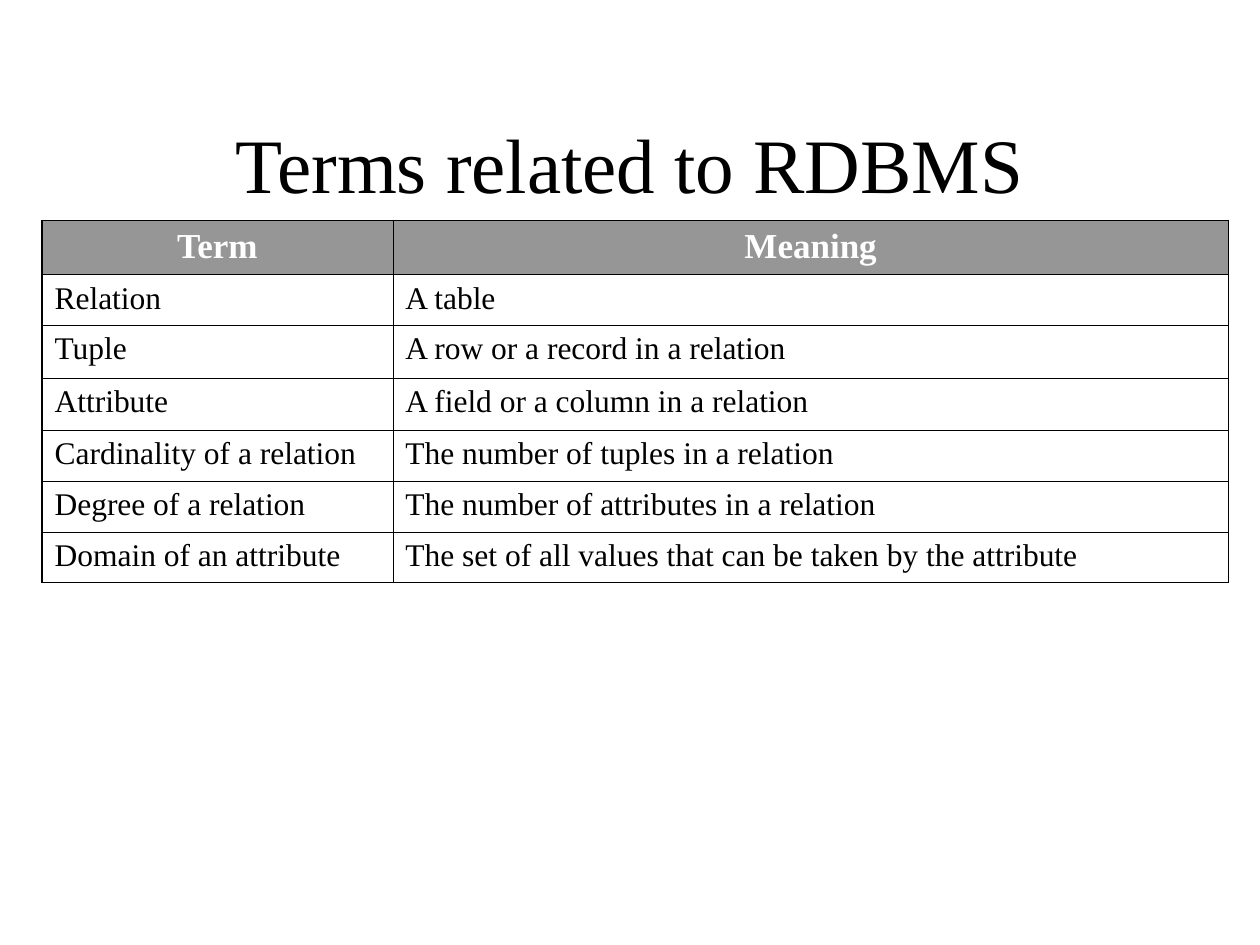
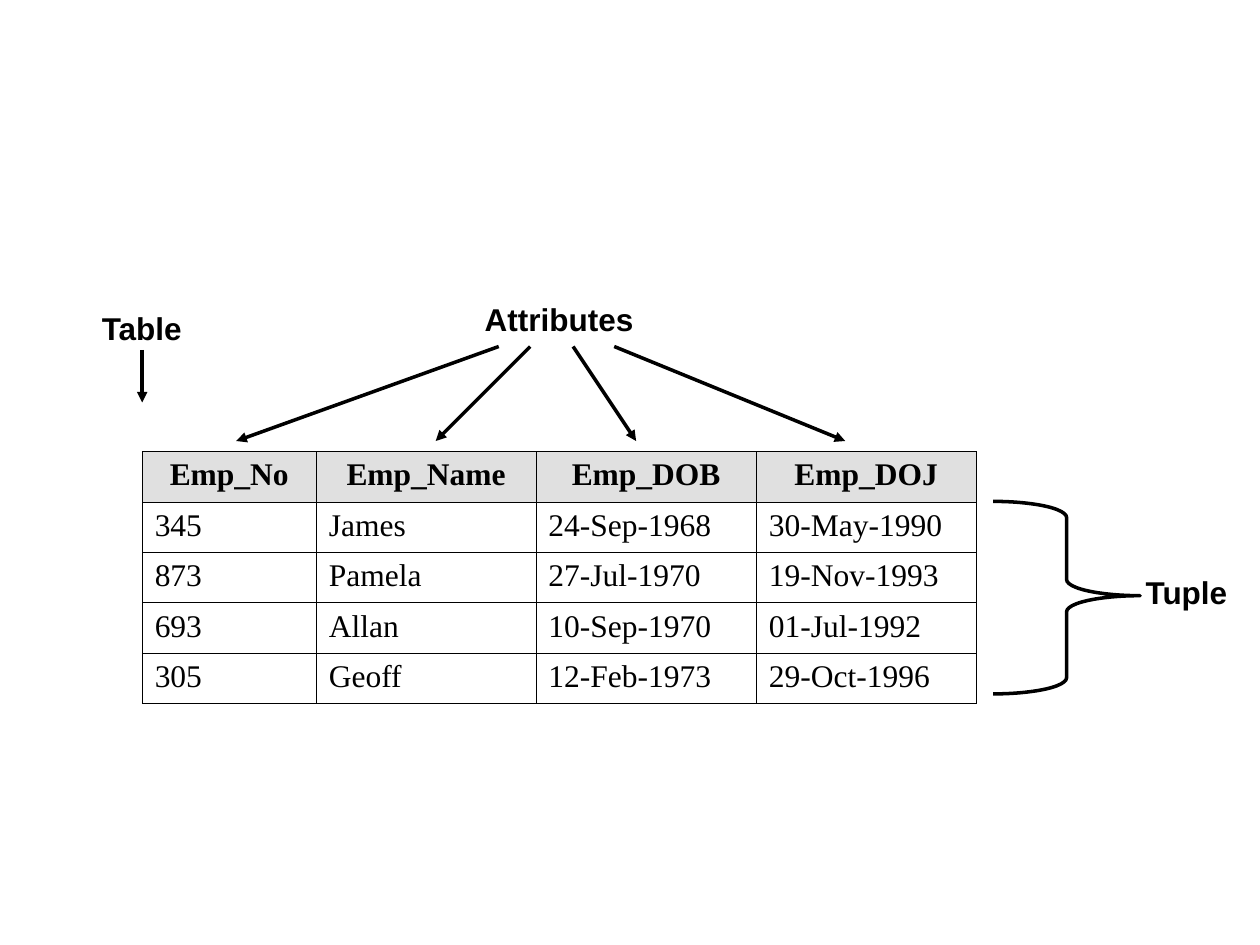
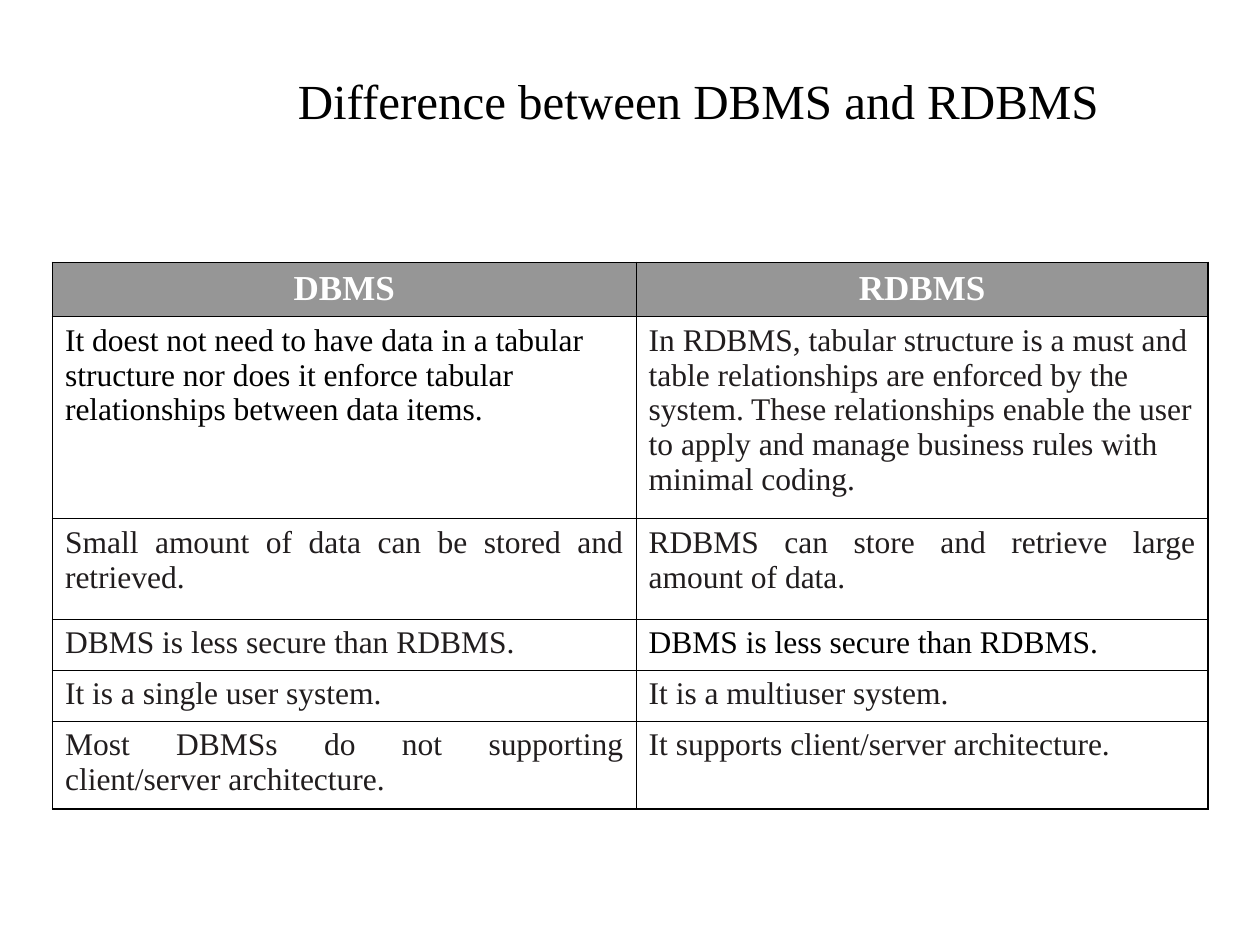
from lxml.etree import SubElement
from pptx import Presentation
from pptx.dml.color import RGBColor
from pptx.enum.shapes import MSO_CONNECTOR, MSO_SHAPE
from pptx.enum.text import MSO_ANCHOR, MSO_AUTO_SIZE, PP_ALIGN
from pptx.oxml import parse_xml
from pptx.oxml.ns import nsdecls, qn
from pptx.util import Pt

SERIF, SANS = "Times New Roman", "Arial"
BLACK, WHITE, INK = "000000", "FFFFFF", "211D1E"
GREY, PALE = "969696", "E0E0E0"
THIN, THICK = 0.45, 1.08


def style(p, size, color=BLACK, bold=False, align=PP_ALIGN.LEFT, font=SERIF):
    p.alignment = align
    for r in p.runs:
        r.font.name, r.font.size, r.font.bold = font, Pt(size), bold
        r.font.color.rgb = RGBColor.from_string(color)


def add_grid(s, left, top, widths, heights, data, head, head_size, head_color, edges):
    """Ruled table; edges gives the outer line widths left, right, top, bottom."""
    frame = s.shapes.add_table(len(heights), len(widths), Pt(left), Pt(top),
                               Pt(sum(widths)), Pt(sum(heights)))
    table = frame.table
    table.horz_banding = False
    for col, width in zip(table.columns, widths):
        col.width = Pt(width)
    for row, height in zip(table.rows, heights):
        row.height = Pt(height)
    for i, texts in enumerate(data):
        for j, text in enumerate(texts):
            cell = table.cell(i, j)
            cell.text_frame.text = text
            p = cell.text_frame.paragraphs[0]
            outer = (j == 0, j == len(widths) - 1, i == 0, i == len(heights) - 1)
            for side, is_outer, edge in zip("LRTB", outer, edges):
                width = Pt(edge if is_outer else THIN)
                cell._tc.get_or_add_tcPr().append(parse_xml(
                    f'<a:ln{side} {nsdecls("a")} w="{width}"><a:solidFill>'
                    f'<a:srgbClr val="{BLACK}"/></a:solidFill></a:ln{side}>'))
            if i == 0:
                cell.fill.solid()
                cell.fill.fore_color.rgb = RGBColor.from_string(head)
                style(p, head_size, head_color, True, PP_ALIGN.CENTER)
            else:
                cell.fill.background()
                style(p, 18)
    return table


prs = Presentation()
prs.slide_width, prs.slide_height = Pt(720), Pt(540)
title_only, blank = prs.slide_layouts[5], prs.slide_layouts[6]
terms = prs.slides.add_slide(title_only)
example = prs.slides.add_slide(blank)
difference = prs.slides.add_slide(title_only)

# Titles
for s, text, left, top, width, size in [
    (terms, "Terms related to RDBMS", 54, 48, 612, 44),
    (difference, "Difference between DBMS and RDBMS", 96, 12, 606, 28),
]:
    sp = s.shapes.title
    sp.left, sp.top, sp.width, sp.height = Pt(left), Pt(top), Pt(width), Pt(90)
    tf = sp.text_frame
    tf.text = text
    tf.vertical_anchor = MSO_ANCHOR.MIDDLE
    style(tf.paragraphs[0], size, align=PP_ALIGN.CENTER)

# Slide 1: glossary
add_grid(terms, 24, 126, [200.5, 477.5], [31, 29, 30, 30, 29, 29, 29], [
    ("Term", "Meaning"),
    ("Relation", "A table"),
    ("Tuple", "A row or a record in a relation"),
    ("Attribute", "A field or a column in a relation"),
    ("Cardinality of a relation", "The number of tuples in a relation"),
    ("Degree of a relation", "The number of attributes in a relation"),
    ("Domain of an attribute", "The set of all values that can be taken by the attribute"),
], GREY, 20, WHITE, (THICK, THICK, THICK, THIN))

# Slide 2: employee table
add_grid(example, 81.25, 258, [99.5, 125.5, 126, 125.5], [28.8] * 5, [
    ("Emp_No", "Emp_Name", "Emp_DOB", "Emp_DOJ"),
    ("345", "James", "24-Sep-1968", "30-May-1990"),
    ("873", "Pamela", "27-Jul-1970", "19-Nov-1993"),
    ("693", "Allan", "10-Sep-1970", "01-Jul-1992"),
    ("305", "Geoff", "12-Feb-1973", "29-Oct-1996"),
], PALE, 18, BLACK, (THIN,) * 4)

# Slide 2: labels
for text, left, top, width in [
    ("Attributes", 214.5, 168, 210),
    ("Table", 18, 173, 126),
    ("Tuple", 621, 324, 114),
]:
    sp = example.shapes.add_textbox(Pt(left), Pt(top), Pt(width), Pt(29))
    tf = sp.text_frame
    tf.word_wrap = True
    tf.auto_size = MSO_AUTO_SIZE.SHAPE_TO_FIT_TEXT
    tf.text = text
    style(tf.paragraphs[0], 18, bold=True, align=PP_ALIGN.CENTER, font=SANS)

# Slide 2: arrows from the labels to the table and its columns
for x1, y1, x2, y2 in [
    (285, 198, 135, 252),
    (303, 198, 249, 252),
    (327.5, 198, 363.5, 252),
    (351, 198, 483, 252),
    (81.25, 200, 81.25, 230),
]:
    arrow = example.shapes.add_connector(MSO_CONNECTOR.STRAIGHT, Pt(x1), Pt(y1), Pt(x2), Pt(y2))
    arrow.line.width = Pt(2)
    arrow.line.color.rgb = RGBColor.from_string(BLACK)
    SubElement(arrow.line._get_or_add_ln(), qn("a:tailEnd"), type="triangle")
    SubElement(arrow._element.spPr, qn("a:effectLst"))

# Slide 2: brace around the tuples
brace = example.shapes.add_shape(MSO_SHAPE.RIGHT_BRACE, Pt(567.5), Pt(286.5), Pt(84), Pt(110))
brace.adjustments[0], brace.adjustments[1] = 0.11, 0.49
brace.shadow.inherit = False
brace.fill.background()
brace.line.width = Pt(2)
brace.line.color.rgb = RGBColor.from_string(BLACK)

# Slide 3: comparison
comparison = add_grid(difference, 30, 150, [333.5, 327], [31, 115.5, 57.5, 29, 29, 50.5], [
    ("DBMS", "RDBMS"),
    ("It doest not need to have data in a tabular structure nor does it enforce "
     "tabular relationships between data items.",
     "In RDBMS, tabular structure is a must and table relationships are enforced by "
     "the system. These relationships enable the user to apply and manage business "
     "rules with minimal coding."),
    ("Small amount of data can be stored and retrieved.",
     "RDBMS can store and retrieve large amount of data."),
    ("DBMS is less secure than RDBMS.", "DBMS is less secure than RDBMS."),
    ("It is a single user system.", "It is a multiuser system."),
    ("Most DBMSs do not supporting client/server architecture.",
     "It supports client/server architecture."),
], GREY, 20, WHITE, (THICK,) * 4)

# Slide 3: dark ink except in two cells, justified below the first body row
for i in range(1, 6):
    for j in range(2):
        color = BLACK if (i, j) in [(1, 0), (3, 1)] else INK
        justified = i > 1 and (i, j) != (3, 1)
        style(comparison.cell(i, j).text_frame.paragraphs[0], 18, color,
              align=PP_ALIGN.JUSTIFY if justified else PP_ALIGN.LEFT)

prs.save("out.pptx")
